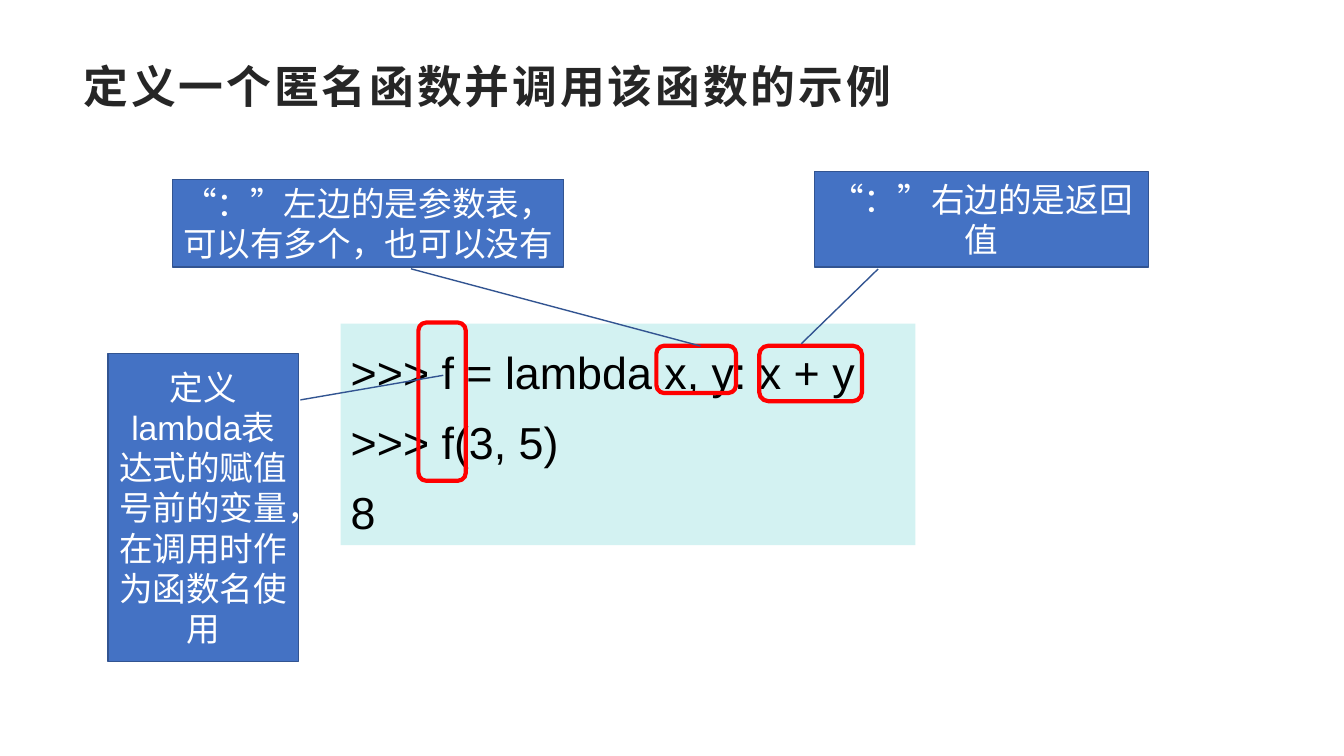
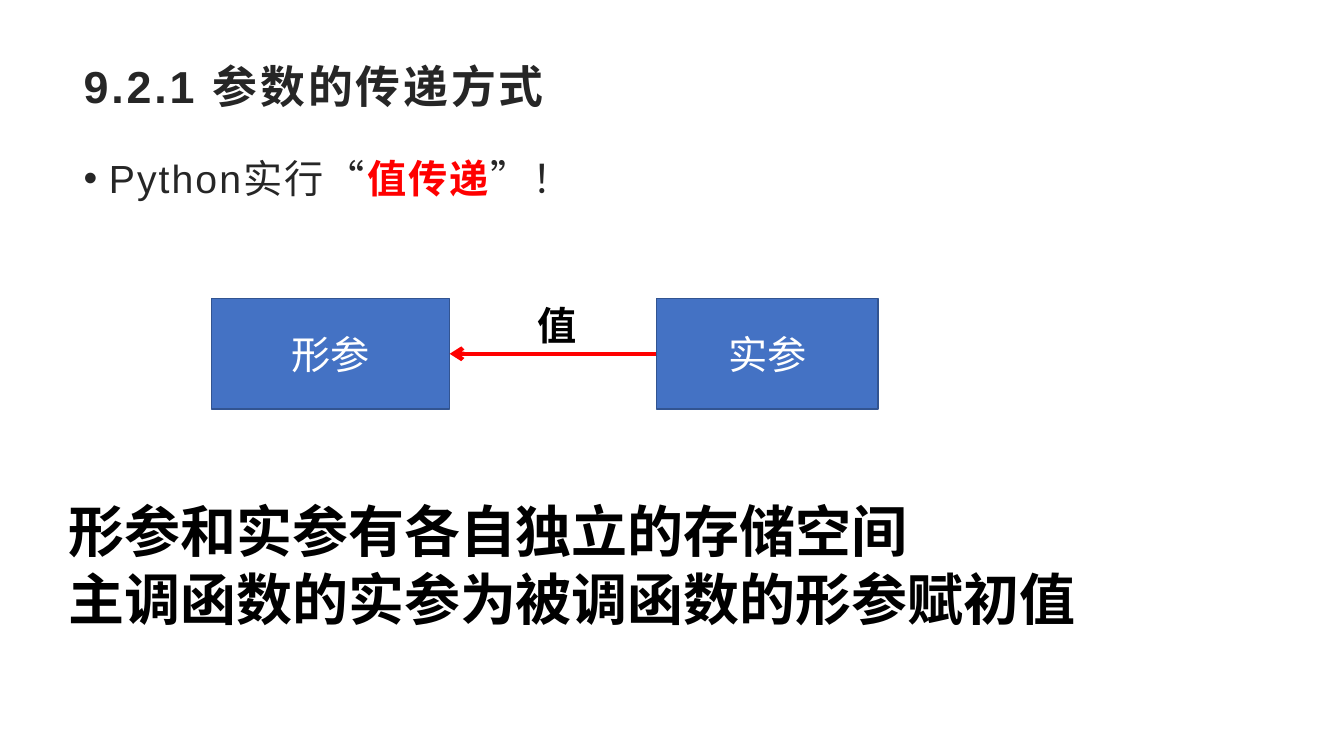
from lxml.etree import SubElement
from pptx import Presentation
from pptx.dml.color import RGBColor
from pptx.enum.shapes import MSO_CONNECTOR, MSO_SHAPE
from pptx.enum.text import MSO_ANCHOR, MSO_AUTO_SIZE, PP_ALIGN
from pptx.oxml.ns import qn
from pptx.util import Inches, Pt

BLACK = RGBColor(0x00, 0x00, 0x00)
WHITE = RGBColor(0xFF, 0xFF, 0xFF)
DARK = RGBColor(0x26, 0x26, 0x26)
RED = RGBColor(0xFF, 0x00, 0x00)
BLUE = RGBColor(0x44, 0x72, 0xC4)
NAVY = RGBColor(0x32, 0x54, 0x91)
MINT = RGBColor(0xD3, 0xF2, 0xF2)
FONT = "Arial"

# Content: slide 1
CODE = [">>> f = lambda x, y: x + y", ">>> f(3, 5)", "8"]
# Red frame, note box, note text, leader line (y, x, y, x as shares of the box)
NOTES = [
    ((6.51, 3.43, 0.79, 0.47), (1.71, 1.78, 3.88, 0.87),
     "“：”左边的是参数表，可以有多个，也可以没有", (1.02, 0.61, 1.9, 1.35)),
    ((7.53, 3.43, 1.02, 0.55), (8.08, 1.7, 3.31, 0.95),
     "“：”右边的是返回值", (1.02, 0.19, 1.8, -0.04)),
    ((4.15, 3.2, 0.47, 1.57), (1.07, 3.51, 1.89, 3.05),
     "定义lambda表达式的赋值号前的变量，在调用时作为函数名使用",
     (0.15, 1.01, 0.07, 1.76)),
]

# Content: slide 2
POINT = [("Python实行“", DARK, False), ("值传递", RED, True),
         ("”！", DARK, False)]
FORMAL = ("形参", (2.1, 2.96, 2.36, 1.1))
ACTUAL = ("实参", (6.51, 2.96, 2.2, 1.1))
CLAIMS = ["形参和实参有各自独立的存储空间", "主调函数的实参为被调函数的形参赋初值"]


def style(font, size, color, bold=False):
    font.name, font.size, font.bold = FONT, Pt(size), bold
    font.color.rgb = color


def place(shape, box):
    shape.left, shape.top, shape.width, shape.height = map(Inches, box)


def track(run, points):
    run._r.get_or_add_rPr().set("spc", str(int(points * 100)))


def write(shape, lines, size, color, bold=False, align=PP_ALIGN.LEFT,
          anchor=MSO_ANCHOR.TOP, space=None):
    frame = shape.text_frame
    frame.word_wrap = True
    frame.vertical_anchor = anchor
    frame.text = "\n".join(lines)
    for para in frame.paragraphs:
        para.alignment = align
        if space:
            para.line_spacing = space
        style(para.font, size, color, bold)


def add_box(slide, kind, box, fill=None, line=None, width=1):
    shape = slide.shapes.add_shape(kind, *map(Inches, box))
    shape.shadow.inherit = False
    if fill is None:
        shape.fill.background()
    else:
        shape.fill.solid()
        shape.fill.fore_color.rgb = fill
    if line is None:
        shape.line.fill.background()
    else:
        shape.line.color.rgb = line
        shape.line.width = Pt(width)
    return shape


def add_label(slide, kind, box, text, size):
    shape = add_box(slide, kind, box, BLUE, NAVY)
    write(shape, [text], size, WHITE, align=PP_ALIGN.CENTER,
          anchor=MSO_ANCHOR.MIDDLE)
    return shape


def add_text(slide, box, lines, size):
    shape = slide.shapes.add_textbox(*map(Inches, box))
    write(shape, lines, size, BLACK, bold=True)
    shape.text_frame.auto_size = MSO_AUTO_SIZE.SHAPE_TO_FIT_TEXT


def add_slide(deck, layout, text):
    slide = deck.slides.add_slide(deck.slide_layouts[layout])
    title = slide.shapes.title
    place(title, (0.73, 0.48, 11.87, 0.74))
    write(title, [text], 32, DARK, bold=True, anchor=MSO_ANCHOR.MIDDLE)
    title.text_frame.auto_size = MSO_AUTO_SIZE.NONE
    track(title.text_frame.paragraphs[0].runs[0], 2)
    return slide


def add_bullet(body):
    place(body, (0.73, 1.34, 11.87, 5.59))
    body.text_frame.auto_size = MSO_AUTO_SIZE.NONE
    para = body.text_frame.paragraphs[0]
    props = para._p.get_or_add_pPr()
    props.set("marL", str(Inches(0.25)))
    props.set("indent", str(Inches(-0.25)))
    para.line_spacing = 1.3
    para.space_before, para.space_after = Pt(0), Pt(10)
    SubElement(props, qn("a:buFont"), typeface=FONT)
    SubElement(props, qn("a:buChar"), char="•")
    style(para.font, 28, DARK)
    for text, color, bold in POINT:
        run = para.add_run()
        run.text = text
        style(run.font, 28, color, bold)
        track(run, 1.5)


def add_arrow(slide, start, end):
    arrow = slide.shapes.add_connector(
        MSO_CONNECTOR.STRAIGHT, *map(Inches, start + end))
    arrow.line.color.rgb = RED
    arrow.line.width = Pt(3)
    SubElement(arrow.line._get_or_add_ln(), qn("a:tailEnd"), type="arrow")
    SubElement(arrow._element.spPr, qn("a:effectLst"))


def build_lambda(deck):
    slide = add_slide(deck, 5, "定义一个匿名函数并调用该函数的示例")
    code = add_box(slide, MSO_SHAPE.RECTANGLE, (3.38, 3.21, 5.7, 2.2), MINT)
    write(code, CODE, 32, BLACK, space=1.3)
    for frame, box, text, leader in NOTES:
        add_box(slide, MSO_SHAPE.ROUNDED_RECTANGLE, frame, line=RED, width=3)
        note = add_label(slide, MSO_SHAPE.LINE_CALLOUT_1, box, text, 24)
        for i, share in enumerate(leader):
            note.adjustments[i] = share


def build_passing(deck):
    slide = add_slide(deck, 1, "9.2.1 参数的传递方式")
    add_bullet(slide.placeholders[1])
    for text, box in (FORMAL, ACTUAL):
        add_label(slide, MSO_SHAPE.RECTANGLE, box, text, 28)
    # Arrow from the actual to the formal parameter
    left, top, width, height = FORMAL[1]
    mid = top + height / 2
    add_arrow(slide, (ACTUAL[1][0], mid), (left + width, mid))
    add_text(slide, (5.23, 2.94, 0.86, 0.57), ["值"], 28)
    add_text(slide, (0.58, 4.88, 12.56, 1.45), CLAIMS, 40)


def main():
    deck = Presentation()
    deck.slide_width, deck.slide_height = Inches(13.33), Inches(7.5)
    build_lambda(deck)
    build_passing(deck)
    deck.save("out.pptx")


if __name__ == "__main__":
    main()
